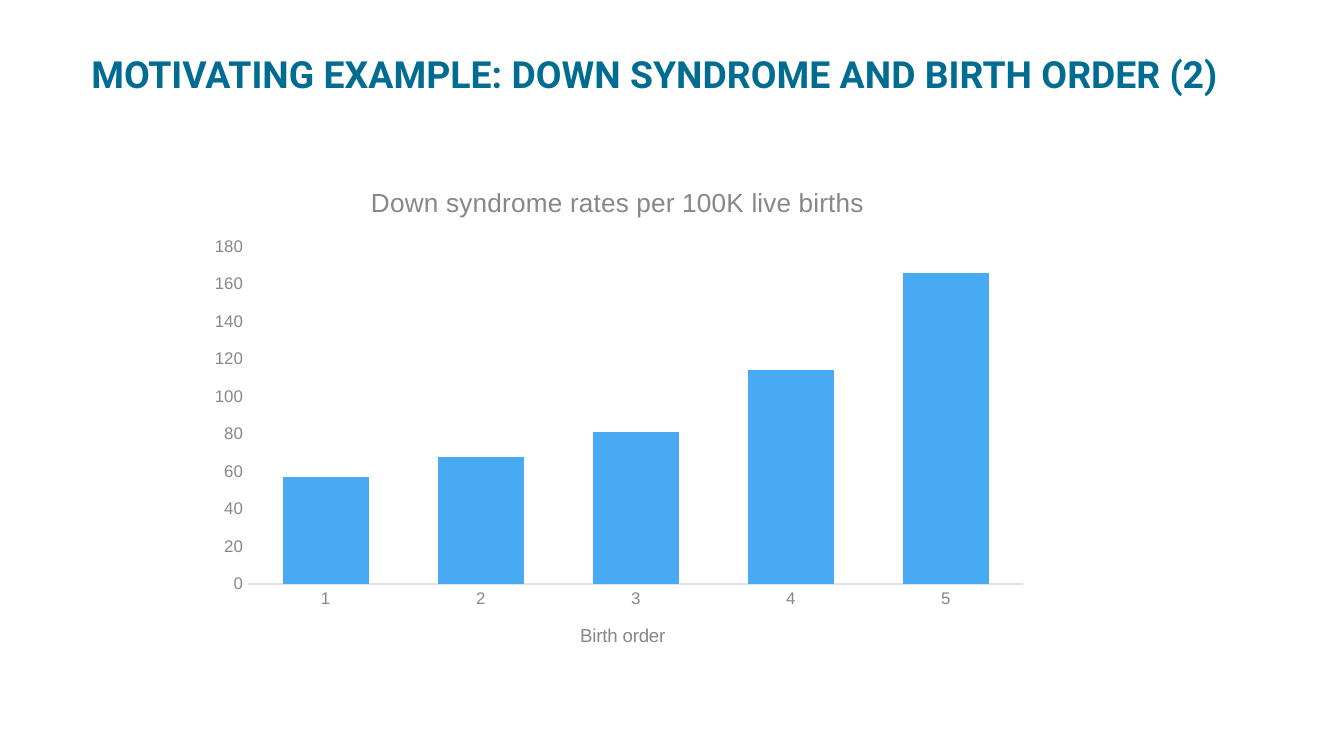
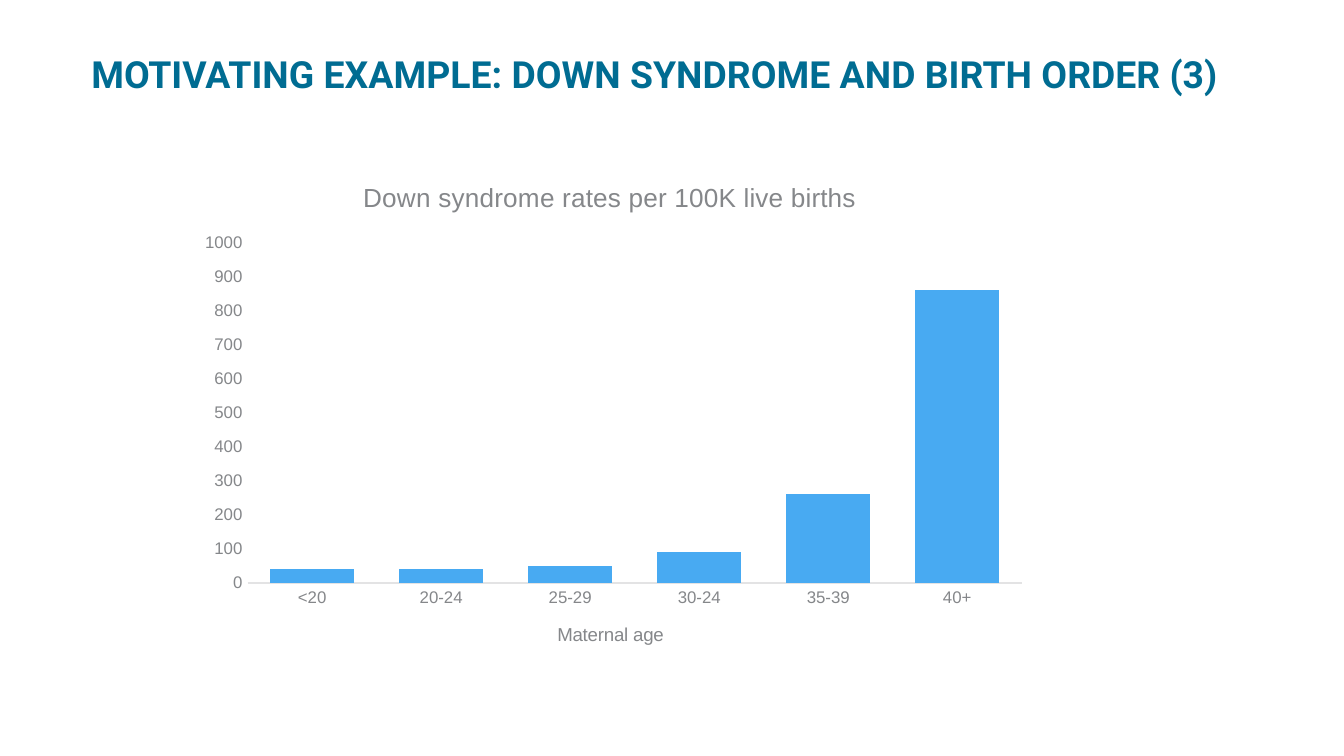
import pptx
import pptx.chart.data
import pptx.dml.color
import pptx.enum.chart
import pptx.enum.text
import pptx.oxml
import pptx.oxml.ns
import pptx.util
from dataclasses import dataclass

Inches = pptx.util.Inches
rgb = pptx.dml.color.RGBColor.from_string


@dataclass(frozen=True)
class Theme:
    heading: str = "006C92"
    bars: str = "48AAF2"
    body: str = "464749"
    label: str = "85878A"
    axis: str = "E3E3E4"
    paper: str = "FFFFFF"
    heading_font: str = "Roboto"
    chart_font: str = "Arial"
    heading_size: int = 20
    caption_size: int = 14
    body_size: int = 10
    tick_size: int = 9


theme = Theme()


def style(font, name, size, color, bold=False):
    font.name = name
    font.size = pptx.util.Pt(size)
    font.color.rgb = rgb(color)
    font.bold = bold


def place(part, position, **fractions):
    for old in part.findall(pptx.oxml.ns.qn("c:layout")):
        part.remove(old)
    target = '<c:layoutTarget val="inner"/>' if "w" in fractions else ""
    modes = "".join(f'<c:{key}Mode val="edge"/>' for key in "xy")
    values = "".join(f'<c:{key} val="{value}"/>' for key, value in fractions.items())
    part.insert(position, pptx.oxml.parse_xml(
        f'<c:layout {pptx.oxml.ns.nsdecls("c")}><c:manualLayout>'
        f"{target}{modes}{values}</c:manualLayout></c:layout>"))


rates = [
    dict(number=2, box=(1.47, 1.23, 6.27, 3.8), factor="Birth order",
         groups=["1", "2", "3", "4", "5"], values=[57, 68, 81, 114, 166],
         top=180, step=20, gap=80, overlap=-27,
         plot_x=0.06, plot_width=0.92, title_x=0.2, factor_x=0.45),
    dict(number=3, box=(1.4, 1.19, 6.33, 3.84), factor="Maternal age",
         groups=["<20", "20-24", "25-29", "30-24", "35-39", "40+"],
         values=[40, 40, 50, 90, 260, 860],
         top=1000, step=100, gap=53, overlap=0,
         plot_x=0.07, plot_width=0.91, title_x=0.2, factor_x=0.43),
]

deck = pptx.Presentation()
deck.slide_width = Inches(10)
deck.slide_height = deck.slide_width * 9 // 16

for rate in rates:
    slide = deck.slides.add_slide(deck.slide_layouts[6])

    heading = slide.shapes.add_textbox(Inches(0.18), Inches(0.21), Inches(9.53), Inches(0.67))
    heading.fill.solid()
    heading.fill.fore_color.rgb = rgb(theme.paper)
    frame = heading.text_frame
    frame.word_wrap = True
    frame.vertical_anchor = pptx.enum.text.MSO_ANCHOR.MIDDLE
    frame.margin_left = Inches(0.5)
    frame.margin_top = frame.margin_right = frame.margin_bottom = 0
    words = frame.paragraphs[0].add_run()
    words.text = f"MOTIVATING EXAMPLE: DOWN SYNDROME AND BIRTH ORDER ({rate['number']})"
    style(words.font, theme.heading_font, theme.heading_size, theme.heading, True)

    births = pptx.chart.data.CategoryChartData()
    births.categories = rate["groups"]
    births.add_series("Series 1", rate["values"])
    chart = slide.shapes.add_chart(
        pptx.enum.chart.XL_CHART_TYPE.COLUMN_CLUSTERED,
        *map(Inches, rate["box"]), births).chart
    chart.has_legend = False
    style(chart.font, theme.chart_font, theme.body_size, theme.body)
    space = chart.element
    space.xpath("c:txPr")[0].addprevious(pptx.oxml.parse_xml(
        f'<c:spPr {pptx.oxml.ns.nsdecls("c", "a")}><a:solidFill>'
        f'<a:srgbClr val="{theme.paper}"/></a:solidFill><a:ln><a:noFill/></a:ln></c:spPr>'))

    bars = chart.plots[0]
    bars.gap_width = rate["gap"]
    bars.overlap = rate["overlap"]
    bars.vary_by_categories = False
    bars.series[0].format.fill.solid()
    bars.series[0].format.fill.fore_color.rgb = rgb(theme.bars)

    for axis in (chart.category_axis, chart.value_axis):
        axis.has_major_gridlines = False
        axis.major_tick_mark = pptx.enum.chart.XL_TICK_MARK.NONE
        axis.minor_tick_mark = pptx.enum.chart.XL_TICK_MARK.NONE
        style(axis.tick_labels.font, theme.chart_font, theme.tick_size, theme.label)
    baseline = chart.category_axis.format.line
    baseline.color.rgb = rgb(theme.axis)
    baseline.width = pptx.util.Pt(0.75)
    scale = chart.value_axis
    scale.format.line.fill.background()
    scale.minimum_scale = 0
    scale.maximum_scale = rate["top"]
    scale.major_unit = rate["step"]

    captions = [
        (chart.chart_title, "Down syndrome rates per 100K live births",
         theme.caption_size, rate["title_x"], 0.03),
        (chart.category_axis.axis_title, rate["factor"],
         theme.body_size, rate["factor_x"], 0.89),
    ]
    for caption, text, size, x, y in captions:
        words = caption.text_frame.paragraphs[0].add_run()
        words.text = text
        style(words.font, theme.chart_font, size, theme.label)
        place(caption._element, 1, x=x, y=y)
    place(space.xpath("c:chart/c:plotArea")[0], 0,
          x=rate["plot_x"], y=0.16, w=rate["plot_width"], h=0.66)

deck.save("out.pptx")
